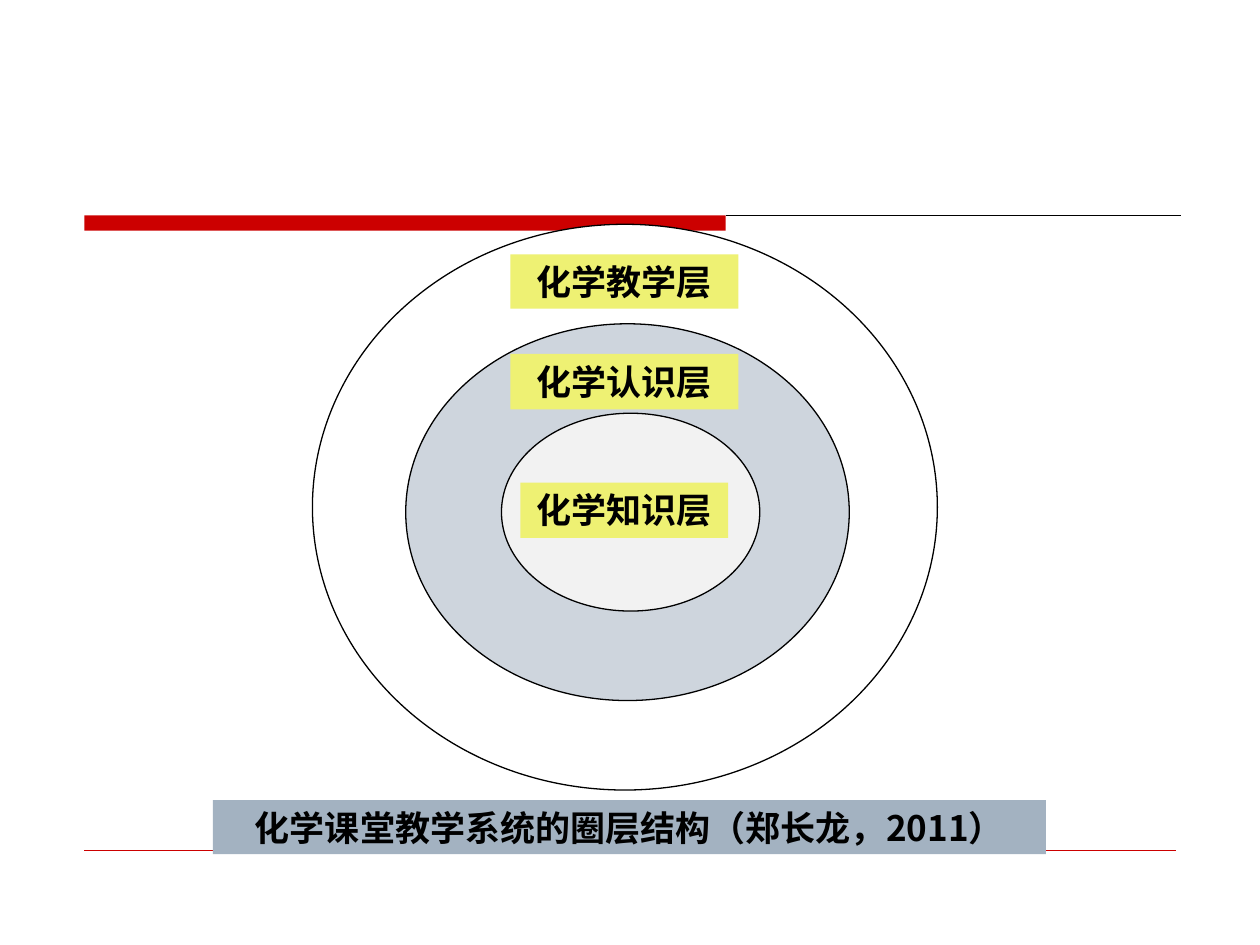
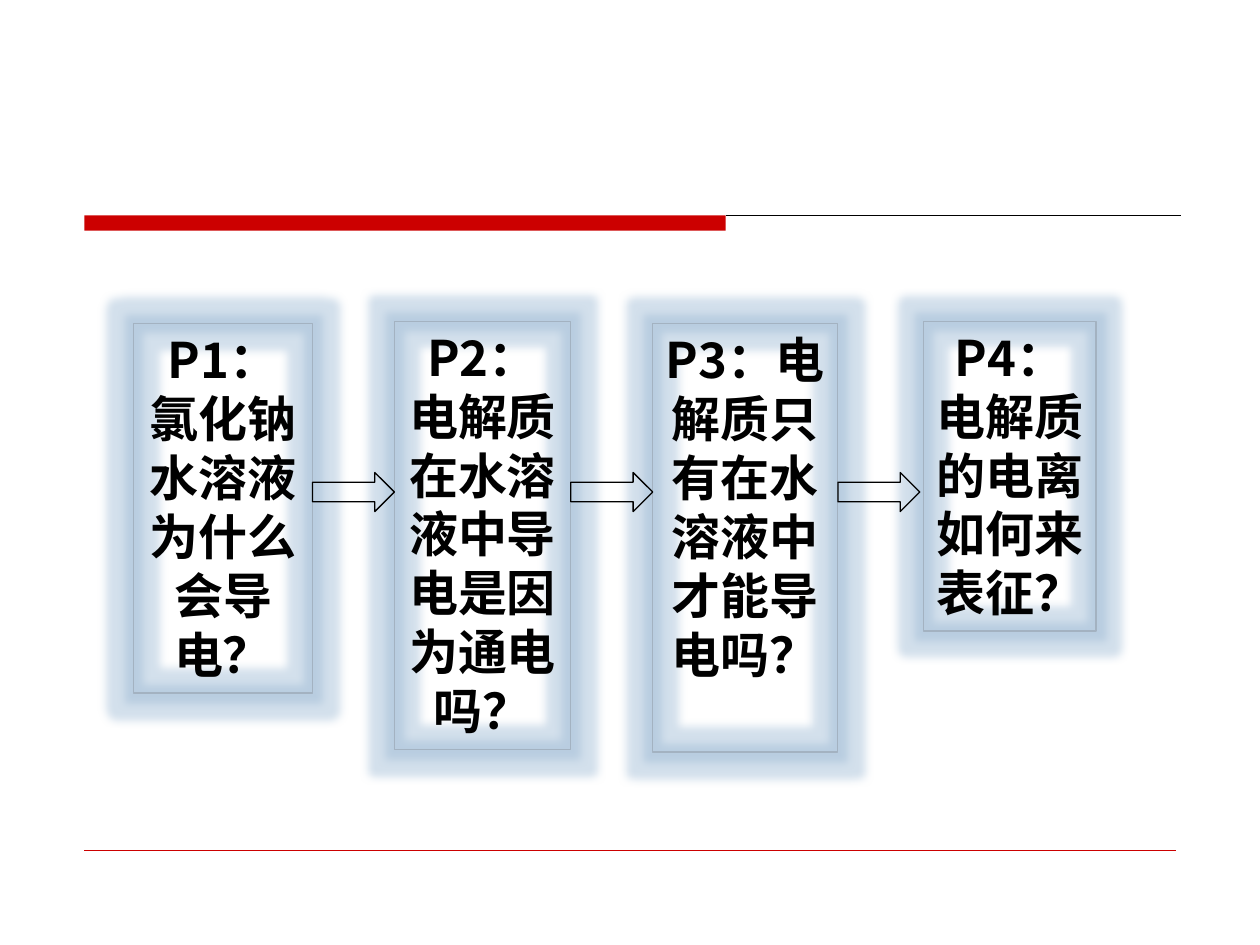
from lxml import etree
from pptx import Presentation
from pptx.dml.color import RGBColor
from pptx.enum.shapes import MSO_CONNECTOR, MSO_SHAPE
from pptx.enum.text import MSO_ANCHOR, PP_ALIGN
from pptx.oxml.ns import qn
from pptx.util import Inches, Pt

RECT, ELLIPSE = MSO_SHAPE.RECTANGLE, MSO_SHAPE.OVAL
CIRCLE, ARROW = MSO_SHAPE.FLOWCHART_CONNECTOR, MSO_SHAPE.RIGHT_ARROW
STRAIGHT = MSO_CONNECTOR.STRAIGHT
CENTER, TOP = PP_ALIGN.CENTER, MSO_ANCHOR.TOP

RED, BLACK, WHITE = "CC0000", "000000", "FFFFFF"
YELLOW, SLATE, GLOW = "EEF173", "A3B2C1", "92B2D0"
LABEL_FONT, CJK_FONT = "DejaVu Sans", "Noto Sans CJK SC"

# Layers from outside in: ring shape, ring box, ring colour, label, label box
LAYERS = [
    (CIRCLE, (2.48, 1.78, 4.96, 4.49), WHITE, "化学教学层", (4.05, 2.02, 1.81, 0.43)),
    (ELLIPSE, (3.22, 2.57, 3.52, 2.99), "CED5DD", "化学认识层", (4.05, 2.81, 1.81, 0.44)),
    (ELLIPSE, (3.98, 3.28, 2.05, 1.57), "F2F2F2", "化学知识层", (4.13, 3.83, 1.65, 0.44)),
]
CAPTION = "化学课堂教学系统的圈层结构（郑长龙，2011）"
CAPTION_BOX = (1.69, 6.35, 6.61, 0.43)

QUESTIONS = [
    ("P1：氯化钠水溶液为什么会导电？", (1.06, 2.57, 1.42, 2.93)),
    ("P2：电解质在水溶液中导电是因为通电吗？", (3.13, 2.55, 1.40, 3.40)),
    ("P3：电解质只有在水溶液中才能导电吗？", (5.18, 2.57, 1.47, 3.40)),
    ("P4：电解质的电离如何来表征？", (7.33, 2.55, 1.37, 2.46)),
]
ARROW_TOP, ARROW_WIDTH, ARROW_HEIGHT = 3.75, 0.65, 0.31


def rgb(color):
    return RGBColor.from_string(color)


def add_box(slide, kind, box, fill=None, line=None):
    shape = slide.shapes.add_shape(kind, *map(Inches, box))
    shape.shadow.inherit = False
    if fill:
        shape.fill.solid()
        shape.fill.fore_color.rgb = rgb(fill)
    else:
        shape.fill.background()
    if line:
        shape.line.color.rgb = rgb(line)
        shape.line.width = Pt(0.75)
    else:
        shape.line.fill.background()
    return shape


def add_rule(slide, left, right, y, color, width):
    rule = slide.shapes.add_connector(STRAIGHT, *map(Inches, (left, y, right, y)))
    rule.line.color.rgb = rgb(color)
    rule.line.width = Pt(width)
    etree.SubElement(rule._element.spPr, qn("a:effectLst"))


def write(shape, text, size, font_name):
    """Fill the shape with one centred bold paragraph, its punctuation kept inside."""
    frame = shape.text_frame
    frame.word_wrap = True
    frame.vertical_anchor = TOP
    paragraph = frame.paragraphs[0]
    paragraph.text = text
    paragraph.alignment = CENTER
    paragraph._p.get_or_add_pPr().set("hangingPunct", "0")
    font = paragraph.font
    font.size, font.bold, font.name = Pt(size), True, font_name
    font.color.rgb = rgb(BLACK)
    east_asian = etree.SubElement(font._element, qn("a:ea"))
    east_asian.set("typeface", CJK_FONT)


def add_glow(shape):
    effects = shape._element.spPr.find(qn("a:effectLst"))
    glow = etree.SubElement(effects, qn("a:glow"), rad=str(Pt(10)))
    color = etree.SubElement(glow, qn("a:srgbClr"), val=GLOW)
    etree.SubElement(color, qn("a:alpha"), val="40000")


def new_slide(prs):
    """Add a blank slide with the red title band and the footer rule."""
    slide = prs.slides.add_slide(prs.slide_layouts[6])
    add_box(slide, RECT, (0.67, 1.71, 5.09, 0.12), RED)
    add_rule(slide, 5.76, 9.37, 1.71, BLACK, 0.5)
    add_rule(slide, 0.67, 9.33, 6.75, RED, 0.25)
    return slide


def build_layers(prs):
    slide = new_slide(prs)
    for kind, ring_box, ring_color, label, label_box in LAYERS:
        add_box(slide, kind, ring_box, ring_color, BLACK)
        write(add_box(slide, RECT, label_box, YELLOW), label, 20, LABEL_FONT)
    write(add_box(slide, RECT, CAPTION_BOX, SLATE), CAPTION, 20, CJK_FONT)


def build_questions(prs):
    slide = new_slide(prs)
    for question, box in QUESTIONS:
        card = add_box(slide, RECT, box, line=SLATE)
        add_glow(card)
        write(card, question, 28, CJK_FONT)
    for _, (left, _, width, _) in QUESTIONS[:-1]:
        arrow_box = (left + width, ARROW_TOP, ARROW_WIDTH, ARROW_HEIGHT)
        add_box(slide, ARROW, arrow_box, line=BLACK)


def main():
    prs = Presentation()
    prs.slide_width, prs.slide_height = Inches(10), Inches(7.5)
    build_layers(prs)
    build_questions(prs)
    prs.save("out.pptx")


if __name__ == "__main__":
    main()
